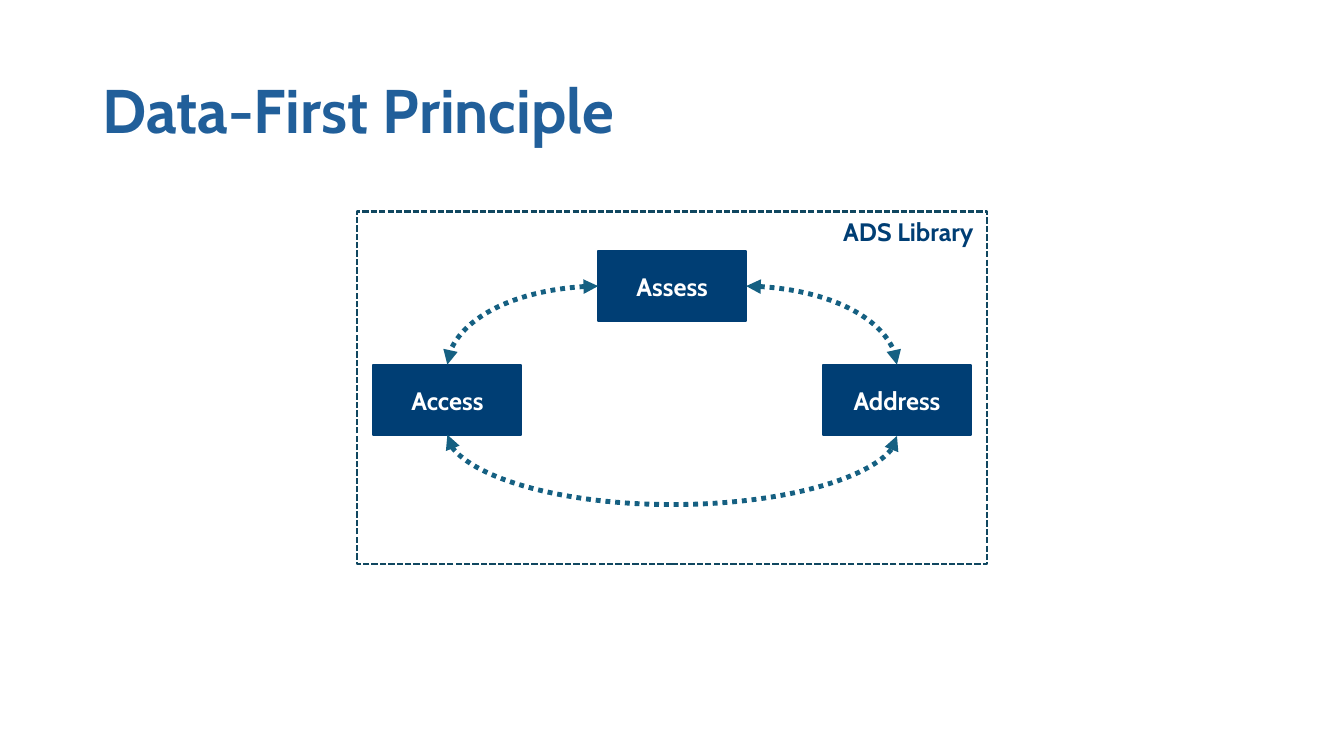
import pptx
import pptx.dml.color
import pptx.enum.dml
import pptx.enum.shapes
import pptx.enum.text
import pptx.oxml.ns
import pptx.util
import lxml.etree

Cm = pptx.util.Cm
Pt = pptx.util.Pt
Align = pptx.enum.text.PP_ALIGN
Anchor = pptx.enum.text.MSO_ANCHOR
Dash = pptx.enum.dml.MSO_LINE
qn = pptx.oxml.ns.qn

NAVY = "003E74"
TEAL = "156082"
TOP, LEFT, BOTTOM, RIGHT = range(4)


def color(hex_text):
    return pptx.dml.color.RGBColor.from_string(hex_text)


def set_values(target, values):
    for name, value in values.items():
        setattr(target, name, value)


def write_text(box, text, size, hex_text, frame_values, para_values):
    set_values(box.text_frame, frame_values)
    para = box.text_frame.paragraphs[0]
    set_values(para, para_values)
    span = para.add_run()
    span.text = text
    set_values(span.font, {"name": "Cabin", "size": Pt(size), "bold": True})
    span.font.color.rgb = color(hex_text)


def set_line(line, hex_text, width, dash=None):
    line.color.rgb = color(hex_text)
    set_values(line, {"width": Pt(width), "dash_style": dash})


def add_rectangle(page, left, top, width, height):
    box = page.shapes.add_shape(
        pptx.enum.shapes.MSO_SHAPE.RECTANGLE, left, top, width, height)
    box.shadow.inherit = False
    return box


def add_title(page, left, top, width, height):
    box = page.shapes.add_textbox(left, top, width, height)
    write_text(box, "Data-First Principle", 44, "215F9A",
               {"word_wrap": True, "vertical_anchor": Anchor.MIDDLE},
               {"line_spacing": 0.9})


def add_step(page, text, left, top, width, height):
    box = add_rectangle(page, left, top, width, height)
    box.fill.solid()
    box.fill.fore_color.rgb = color(NAVY)
    set_line(box.line, NAVY, 1.5)
    write_text(box, text, 18, "FFFFFF",
               {"word_wrap": True, "vertical_anchor": Anchor.MIDDLE},
               {"alignment": Align.CENTER})
    return box


def add_curve(page, start, start_side, end, end_side, preset):
    curve = page.shapes.add_connector(
        pptx.enum.shapes.MSO_CONNECTOR.CURVE, 0, 0, 0, 0)
    curve.begin_connect(start, start_side)
    curve.end_connect(end, end_side)
    set_line(curve.line, TEAL, 3.5, Dash.ROUND_DOT)
    properties = curve._element.spPr
    properties.find(qn("a:prstGeom")).set("prst", preset)
    line = properties.find(qn("a:ln"))
    for end_name in ("a:headEnd", "a:tailEnd"):
        lxml.etree.SubElement(line, qn(end_name), type="triangle")
    lxml.etree.SubElement(properties, qn("a:effectLst"))
    return curve


def add_return_curve(page, start, end, drop):
    curve = add_curve(page, start, BOTTOM, end, BOTTOM, "curvedConnector3")
    span_length = start.left - end.left
    center = (start.left + end.left + start.width) // 2
    thickness = Cm(0.03)
    set_values(curve, {
        "left": center - thickness // 2,
        "top": start.top + start.height - span_length // 2,
        "width": thickness,
        "height": span_length,
    })
    properties = curve._element.spPr
    transform = properties.find(qn("a:xfrm"))
    transform.attrib.pop("flipH", None)
    transform.set("rot", "5400000")
    adjustments = properties.find(qn("a:prstGeom")).get_or_add_avLst()
    lxml.etree.SubElement(adjustments, qn("a:gd"), name="adj1",
                          fmla=f"val {round(drop / thickness * 100000)}")


def add_library(page, left, top, width, height):
    step_width, step_height, inset = Cm(3.73), Cm(1.78), Cm(0.41)
    upper, lower = top + Cm(0.99), top + Cm(3.86)
    places = {
        "Assess": (left + (width - step_width) // 2, upper),
        "Access": (left + inset, lower),
        "Address": (left + width - inset - step_width, lower),
    }
    steps = {text: add_step(page, text, *place, step_width, step_height)
             for text, place in places.items()}
    for side, text in ((LEFT, "Access"), (RIGHT, "Address")):
        add_curve(page, steps["Assess"], side, steps[text], TOP, "curvedConnector2")
    add_return_curve(page, steps["Address"], steps["Access"], Cm(1.76))

    frame = add_rectangle(page, left, top, width, height)
    frame.fill.background()
    set_line(frame.line, "104760", 1.5, Dash.SQUARE_DOT)
    label_width = Cm(3.88)
    label = page.shapes.add_textbox(
        left + width - label_width, top, label_width, Cm(1.02))
    write_text(label, "ADS Library", 18, NAVY, {"word_wrap": False}, {})


def main():
    deck = pptx.Presentation()
    set_values(deck, {"slide_width": Cm(33.87), "slide_height": Cm(19.05)})
    page = deck.slides.add_slide(deck.slide_layouts[6])
    add_title(page, Cm(2.33), Cm(1.01), Cm(29.21), Cm(3.68))
    add_library(page, Cm(9), Cm(5.33), Cm(15.88), Cm(8.89))
    deck.save("out.pptx")


if __name__ == "__main__":
    main()
